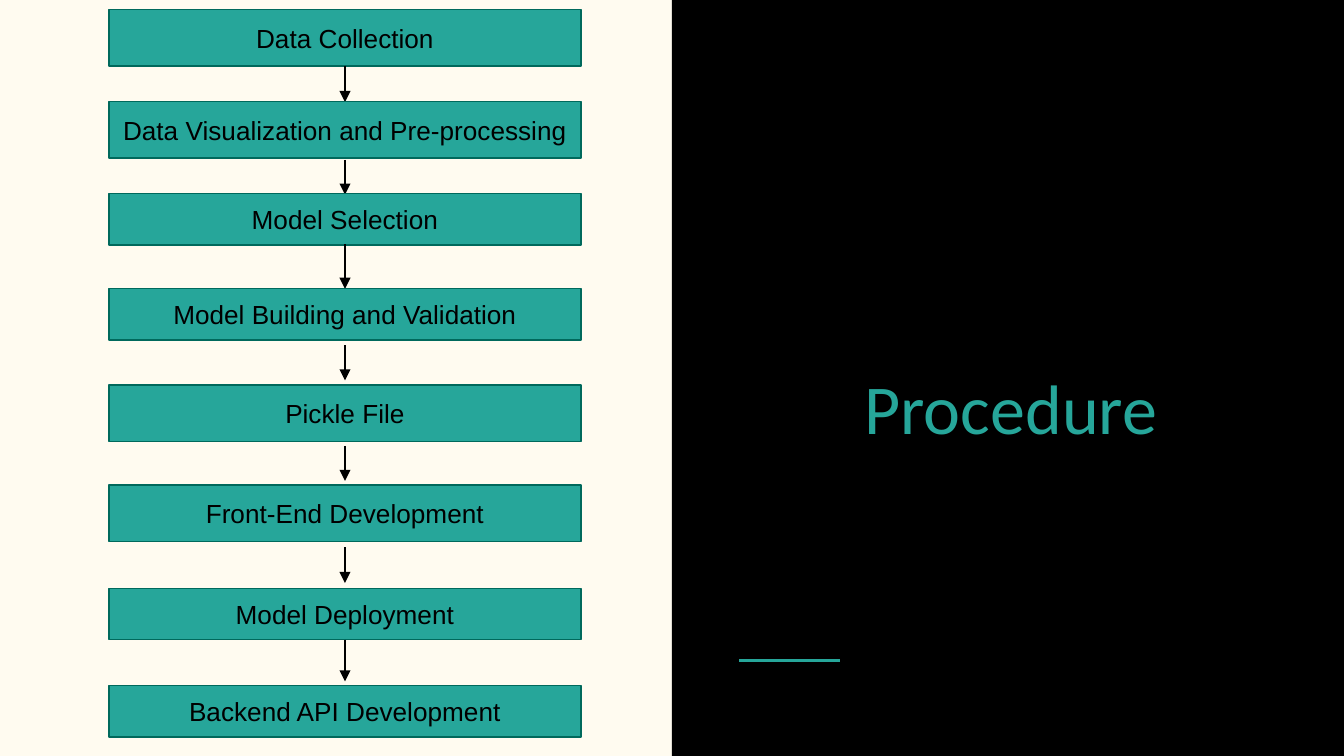
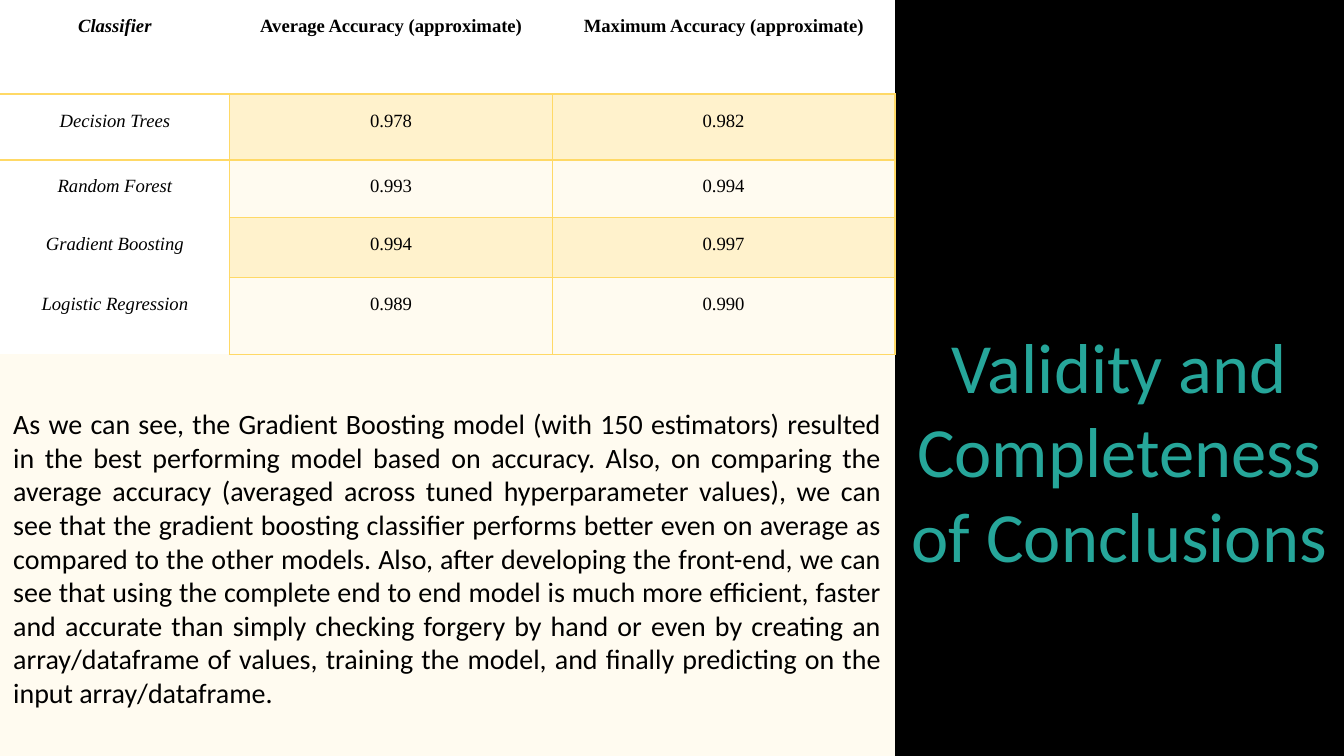
from lxml import etree
from pptx import Presentation
from pptx.dml.color import RGBColor
from pptx.enum.shapes import MSO_CONNECTOR, MSO_SHAPE
from pptx.enum.text import MSO_ANCHOR, PP_ALIGN
from pptx.oxml.ns import qn
from pptx.util import Cm, Pt

STRAIGHT, RECTANGLE = MSO_CONNECTOR.STRAIGHT, MSO_SHAPE.RECTANGLE
TOP, MIDDLE, BOTTOM = MSO_ANCHOR.TOP, MSO_ANCHOR.MIDDLE, MSO_ANCHOR.BOTTOM
CENTER, JUSTIFY = PP_ALIGN.CENTER, PP_ALIGN.JUSTIFY

CREAM = RGBColor(0xFF, 0xFB, 0xF0)
BLACK = RGBColor(0x00, 0x00, 0x00)
WHITE = RGBColor(0xFF, 0xFF, 0xFF)
TEAL = RGBColor(0x26, 0xA6, 0x9A)
DARK_TEAL = RGBColor(0x00, 0x69, 0x5C)
GOLD = RGBColor(0xFF, 0xD9, 0x66)
PALE_GOLD = RGBColor(0xFF, 0xF2, 0xCC)

# Lengths in centimetres
PAGE_WIDTH, PAGE_HEIGHT = 25.4, 14.29
HALF = PAGE_WIDTH / 2
INSET = 0.25

# Label, top and height of each step, then start and end of the arrow below it
STEPS = [
    ("Data Collection", 0.18, 1.07, (1.24, 1.93)),
    ("Data Visualization and Pre-processing", 1.92, 1.07, (3.02, 3.68)),
    ("Model Selection", 3.66, 0.97, (4.62, 5.46)),
    ("Model Building and Validation", 5.46, 0.97, (6.53, 7.19)),
    ("Pickle File", 7.28, 1.07, (8.43, 9.09)),
    ("Front-End Development", 9.17, 1.07, (10.34, 11.02)),
    ("Model Deployment", 11.12, 0.97, (12.09, 12.88)),
    ("Backend API Development", 12.96, 0.97, None),
]

COLUMN_WIDTHS = [4.34, 6.1, 6.47]
ROW_HEIGHTS = [1.78, 1.24, 1.09, 1.14, 1.45]
ACCURACY = [
    ("Classifier", "Average Accuracy (approximate)", "Maximum Accuracy (approximate)"),
    ("Decision Trees", "0.978", "0.982"),
    ("Random Forest", "0.993", "0.994"),
    ("Gradient Boosting", "0.994", "0.997"),
    ("Logistic Regression", "0.989", "0.990"),
]

CONCLUSION = (
    "As we can see, the Gradient Boosting model (with 150 estimators) resulted in the "
    "best performing model based on accuracy. Also, on comparing the average accuracy "
    "(averaged across tuned hyperparameter values), we can see that the gradient boosting "
    "classifier performs better even on average as compared to the other models. Also, "
    "after developing the front-end, we can see that using the complete end to end model "
    "is much more efficient, faster and accurate than simply checking forgery by hand or "
    "even by creating an array/dataframe of values, training the model, and finally "
    "predicting on the input array/dataframe."
)


def write(frame, text, size, font, color, align=CENTER, anchor=TOP):
    """Fill a text frame with one styled paragraph and return it."""
    frame.word_wrap = True
    frame.vertical_anchor = anchor
    frame.margin_left = frame.margin_right = Cm(INSET)
    frame.margin_top = frame.margin_bottom = Cm(INSET)
    para = frame.paragraphs[0]
    para.text = text
    para.alignment = align
    style_font(para, size, font, color)
    return para


def style_font(para, size, font, color):
    para.font.size = Pt(size)
    para.font.name = font
    para.font.color.rgb = color


def add_text(page, box, *style, **layout):
    area = page.shapes.add_textbox(*map(Cm, box))
    write(area.text_frame, *style, **layout)


def add_rectangle(page, box, fill, line=None):
    shape = page.shapes.add_shape(RECTANGLE, *map(Cm, box))
    shape.shadow.inherit = False
    shape.fill.solid()
    shape.fill.fore_color.rgb = fill
    if line is None:
        shape.line.fill.background()
    else:
        shape.line.color.rgb = line
        shape.line.width = Pt(0.75)
    return shape


def add_line(page, start, end, color, width, arrow=False):
    line = page.shapes.add_connector(STRAIGHT, *map(Cm, start + end))
    line.line.color.rgb = color
    line.line.width = Pt(width)
    if arrow:
        etree.SubElement(line.line._get_or_add_ln(), qn("a:tailEnd"), type="triangle")
    etree.SubElement(line._element.spPr, qn("a:effectLst"))


def add_page(deck):
    """Cream page with the black panel on its right half."""
    page = deck.slides.add_slide(deck.slide_layouts[6])
    page.background.fill.solid()
    page.background.fill.fore_color.rgb = CREAM
    add_rectangle(page, (HALF, 0, HALF, PAGE_HEIGHT), BLACK)
    return page


def add_title(page, box, text, size):
    add_text(page, box, text, size, "Calibri", TEAL, anchor=BOTTOM)


def add_flow(page, left, top, width):
    """Column of steps joined by arrows."""
    middle = left + width / 2
    for label, offset, height, arrow in STEPS:
        step = add_rectangle(page, (left, top + offset, width, height), TEAL, DARK_TEAL)
        write(step.text_frame, label, 14, "Arial", BLACK, anchor=MIDDLE)
        if arrow:
            start, end = arrow
            add_line(page, (middle, top + start), (middle, top + end), BLACK, 0.75, arrow=True)


def visible_edges(row, column):
    """Edges of a cell that carry a gold line."""
    if row == 0:
        return "B"
    if column > 0:
        return "LRTB"
    return {1: "RTB", 2: "RT"}.get(row, "R")


def set_borders(cell, edges):
    properties = cell._tc.get_or_add_tcPr()
    for edge in "LRTB":
        line = etree.SubElement(properties, qn("a:ln" + edge), w=str(Pt(1)))
        if edge in edges:
            fill = etree.SubElement(line, qn("a:solidFill"))
            etree.SubElement(fill, qn("a:srgbClr"), val=str(GOLD))
        else:
            etree.SubElement(line, qn("a:noFill"))


def set_cell_fill(cell, row, column):
    if row > 0 and column > 0 and row % 2 == 0:
        cell.fill.background()
        return
    cell.fill.solid()
    cell.fill.fore_color.rgb = WHITE if row == 0 or column == 0 else PALE_GOLD


def add_accuracy_table(page, left, top):
    size = (sum(COLUMN_WIDTHS), sum(ROW_HEIGHTS))
    frame = page.shapes.add_table(
        len(ACCURACY), len(COLUMN_WIDTHS), *map(Cm, (left, top) + size))
    table = frame.table
    table.first_row = table.horz_banding = False
    for column, width in zip(table.columns, COLUMN_WIDTHS):
        column.width = Cm(width)
    for row, height in zip(table.rows, ROW_HEIGHTS):
        row.height = Cm(height)
    for row, values in enumerate(ACCURACY):
        for column, value in enumerate(values):
            cell = table.cell(row, column)
            cell.margin_left = cell.margin_right = Cm(0.18)
            cell.margin_top = cell.margin_bottom = Cm(INSET)
            set_borders(cell, visible_edges(row, column))
            set_cell_fill(cell, row, column)
            para = cell.text_frame.paragraphs[0]
            para.text = value
            para.alignment = CENTER
            para.line_spacing = 1.15
            para.space_before = Pt(12)
            style_font(para, 10, "Times New Roman", BLACK)
            para.font.bold = row == 0
            para.font.italic = column == 0


def build_procedure(deck):
    page = add_page(deck)
    add_line(page, (13.97, 12.49), (15.88, 12.49), TEAL, 1.5)
    add_title(page, (14.55, 6.43, 9.12, 2.29), "Procedure", 37.5)
    add_flow(page, 2.06, 0, 8.92)


def build_conclusions(deck):
    page = add_page(deck)
    split = sum(COLUMN_WIDTHS)
    add_title(page, (split, 4.14, PAGE_WIDTH - split, 7.01),
              "Validity and Completeness of Conclusions", 37.8)
    # Cream cover that widens the left side
    add_rectangle(page, (12.42, 0.05, split - 12.42, PAGE_HEIGHT - 0.05), CREAM, CREAM)
    add_accuracy_table(page, 0, 0)
    add_text(page, (0, 7.44, split, PAGE_HEIGHT - 7.44), CONCLUSION, 15, "Calibri", BLACK,
             align=JUSTIFY)


def main():
    deck = Presentation()
    deck.slide_width, deck.slide_height = Cm(PAGE_WIDTH), Cm(PAGE_HEIGHT)
    build_procedure(deck)
    build_conclusions(deck)
    deck.save("out.pptx")


if __name__ == "__main__":
    main()
